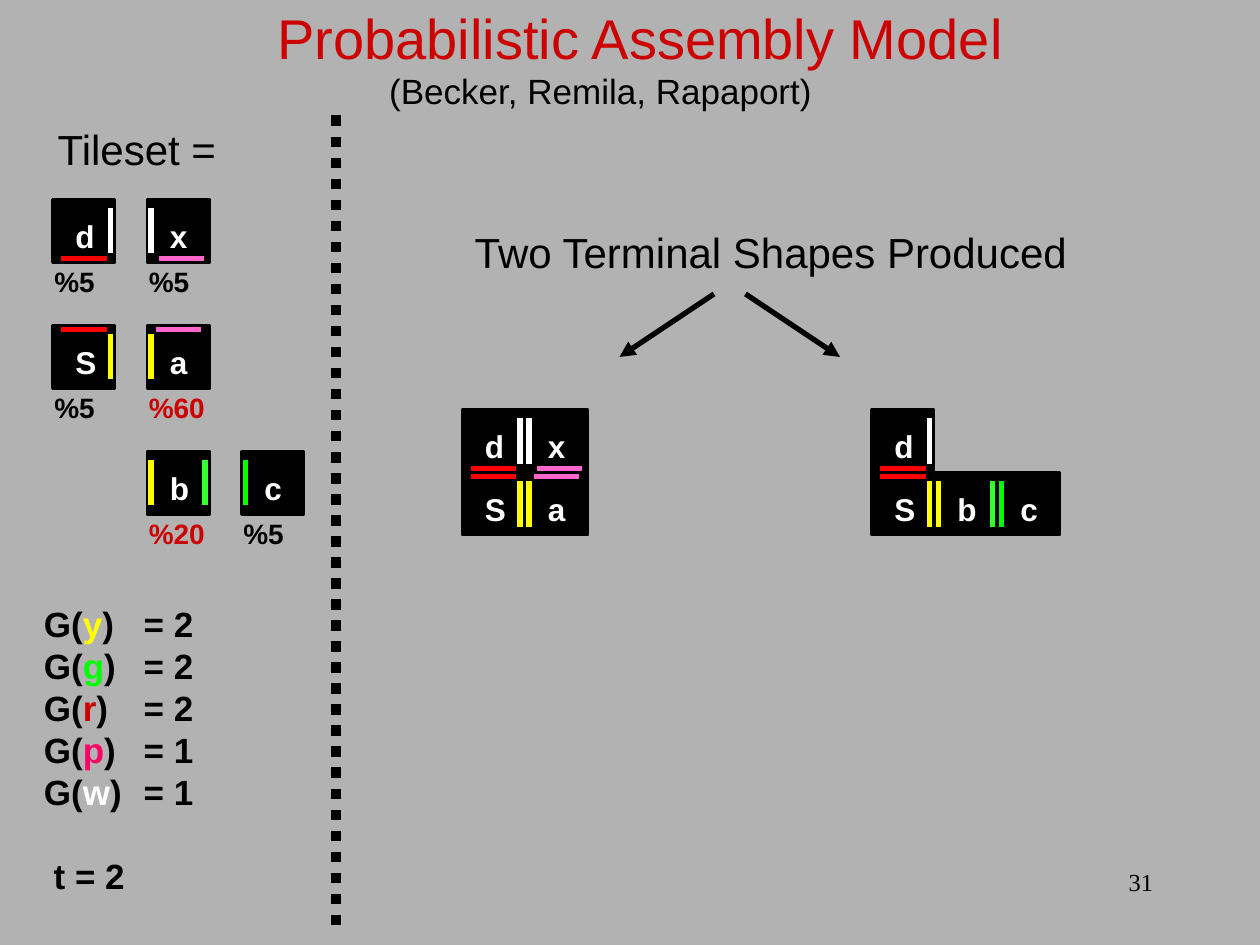
from lxml.etree import SubElement
from pptx import Presentation
from pptx.dml.color import RGBColor
from pptx.enum.dml import MSO_LINE
from pptx.enum.shapes import MSO_CONNECTOR as CONNECTOR, MSO_SHAPE as SHAPE
from pptx.enum.text import MSO_ANCHOR as ANCHOR, MSO_AUTO_SIZE as AUTO_SIZE, PP_ALIGN as ALIGN
from pptx.oxml.ns import qn
from pptx.util import Pt

GRAY = RGBColor(0xB2, 0xB2, 0xB2)
BLACK = RGBColor(0, 0, 0)
WHITE = RGBColor(0xFF, 0xFF, 0xFF)
CRIMSON = RGBColor(0xCC, 0, 0)
RED = RGBColor(0xFF, 0, 0)
YELLOW = RGBColor(0xFF, 0xFF, 0)
GREEN = RGBColor(0, 0xFF, 0)
LIGHT_GREEN = RGBColor(0x33, 0xFF, 0x33)
PINK = RGBColor(0xFF, 0x66, 0xCC)
MAGENTA = RGBColor(0xFF, 0, 0x66)

TITLE = "Probabilistic Assembly Model"
TILE_EDGES = {
    "d": [("right", WHITE), ("bottom", RED)],
    "x": [("left", WHITE), ("bottom inset", PINK)],
    "S": [("top", RED), ("right", YELLOW)],
    "a": [("left", YELLOW), ("top", PINK)],
    "b": [("left", YELLOW), ("right", LIGHT_GREEN)],
    "c": [("left", GREEN)],
}
TILESET = [
    ("d", 0, 0, "%5", BLACK), ("x", 1, 0, "%5", BLACK),
    ("S", 0, 1, "%5", BLACK), ("a", 1, 1, "%60", CRIMSON),
    ("b", 1, 2, "%20", CRIMSON), ("c", 2, 2, "%5", BLACK),
]
ASSEMBLIES = [
    (264, [("a", 1, 1), ("S", 0, 1), ("x", 1, 0), ("d", 0, 0)]),
    (498, [("b", 1, 1), ("c", 2, 1), ("S", 0, 1), ("d", 0, 0)]),
]
STRENGTHS = [("y", YELLOW, 2), ("g", GREEN, 2), ("r", CRIMSON, 2), ("p", MAGENTA, 1), ("w", WHITE, 1)]
CAPTIONS = [
    ("(Becker, Remila, Rapaport)", 215.3, 36, 280, 20),
    ("Tileset =", 25.9, 67, 130, 24),
    ("Two Terminal Shapes Produced", 264.2, 126, 380, 24),
]
ARROWS = [(408, 168, 354, 204), (426, 168, 480, 204)]

TILE = 36
EDGE_BOXES = {
    "left": (0, 4.5, 4.5, 27),
    "right": (31, 4.5, 4.5, 27),
    "top": (4.5, 0, 27, 4.5),
    "bottom": (4.5, 31.5, 27, 4.5),
    "bottom inset": (6, 31.5, 27, 4.5),
}


def style(run, size, color=BLACK, bold=False, font="Arial"):
    run.font.name = font
    run.font.size = Pt(size)
    run.font.bold = bold
    run.font.color.rgb = color


def add_box(left, top, width, height, margins=(7.2, 3.6)):
    box = slide.shapes.add_textbox(Pt(left), Pt(top), Pt(width), Pt(height))
    frame = box.text_frame
    frame.word_wrap = True
    frame.margin_left = frame.margin_right = Pt(margins[0])
    frame.margin_top = frame.margin_bottom = Pt(margins[1])
    return frame


def add_text(text, left, top, width, size, color=BLACK, bold=False, margins=(7.2, 3.6), font="Arial"):
    frame = add_box(left, top, width, size * 1.2 + 2 * margins[1], margins)
    frame.text = text
    paragraph = frame.paragraphs[0]
    paragraph.line_spacing = Pt(size * 1.2)
    style(paragraph.runs[0], size, color, bold, font)
    return paragraph


def add_rectangle(left, top, width, height, color):
    shape = slide.shapes.add_shape(SHAPE.RECTANGLE, Pt(left), Pt(top), Pt(width), Pt(height))
    shape.shadow.inherit = False
    shape.fill.solid()
    shape.fill.fore_color.rgb = color
    shape.line.color.rgb = BLACK
    shape.line.width = Pt(1.25)


def add_tile(letter, left, top):
    add_rectangle(left, top, TILE, TILE, BLACK)
    for edge, color in TILE_EDGES[letter]:
        x, y, width, height = EDGE_BOXES[edge]
        add_rectangle(left + x, top + y, width, height, color)
    add_text(letter, left + 13, top + 10, 18, 18, WHITE, True, (0, 0))


def add_line(x1, y1, x2, y2, width):
    line = slide.shapes.add_connector(CONNECTOR.STRAIGHT, Pt(x1), Pt(y1), Pt(x2), Pt(y2))
    line.line.color.rgb = BLACK
    line.line.width = Pt(width)
    SubElement(line._element.spPr, qn("a:effectLst"))
    return line


presentation = Presentation()
presentation.slide_width, presentation.slide_height = Pt(720), Pt(540)
slide = presentation.slides.add_slide(presentation.slide_layouts[5])
slide.background.fill.solid()
slide.background.fill.fore_color.rgb = GRAY

title = slide.shapes.title
title.left, title.top, title.width, title.height = Pt(60), Pt(0), Pt(612), Pt(42)
title.text_frame.text = TITLE
title.text_frame.auto_size = AUTO_SIZE.NONE
title.text_frame.vertical_anchor = ANCHOR.MIDDLE
title.text_frame.paragraphs[0].alignment = ALIGN.CENTER
style(title.text_frame.paragraphs[0].runs[0], 32, CRIMSON)

for caption in CAPTIONS:
    add_text(*caption)

for letter, column, row, percent, color in TILESET:
    left, top = 30 + 54 * column, 114 + 72 * row
    add_tile(letter, left, top)
    add_text(percent, left - 6, top + 33.6, 54, 16, color, True)

for origin, tiles in ASSEMBLIES:
    for letter, column, row in tiles:
        add_tile(letter, origin + TILE * column, 234 + TILE * row)

for arrow in ARROWS:
    line_properties = add_line(*arrow, 3).line._get_or_add_ln()
    SubElement(line_properties, qn("a:tailEnd"), type="triangle")

add_line(192, 66, 192, 534, 6).line.dash_style = MSO_LINE.ROUND_DOT

strength_frame = add_box(18, 340.6, 144, 175.2)
for index, (glue, color, strength) in enumerate(STRENGTHS):
    paragraph = strength_frame.paragraphs[0] if index == 0 else strength_frame.add_paragraph()
    paragraph.line_spacing = Pt(24)
    tabs = SubElement(paragraph._p.get_or_add_pPr(), qn("a:tabLst"))
    SubElement(tabs, qn("a:tab"), pos=str(Pt(57)), algn="l")
    for text, run_color in [("G(", BLACK), (glue, color), (f")\t= {strength}", BLACK)]:
        run = paragraph.add_run()
        run.text = text
        style(run, 20, run_color, True)

temperature = strength_frame.add_paragraph()
temperature.text = "t = 2"
temperature.line_spacing = Pt(24)
temperature.space_before = Pt(24)
temperature._p.get_or_add_pPr().set("marL", str(Pt(5.6)))
style(temperature.runs[0], 20, BLACK, True)

page_number = add_text("31", 516, 492, 150, 14, font="Times New Roman")
page_number.alignment = ALIGN.RIGHT

presentation.save("out.pptx")
